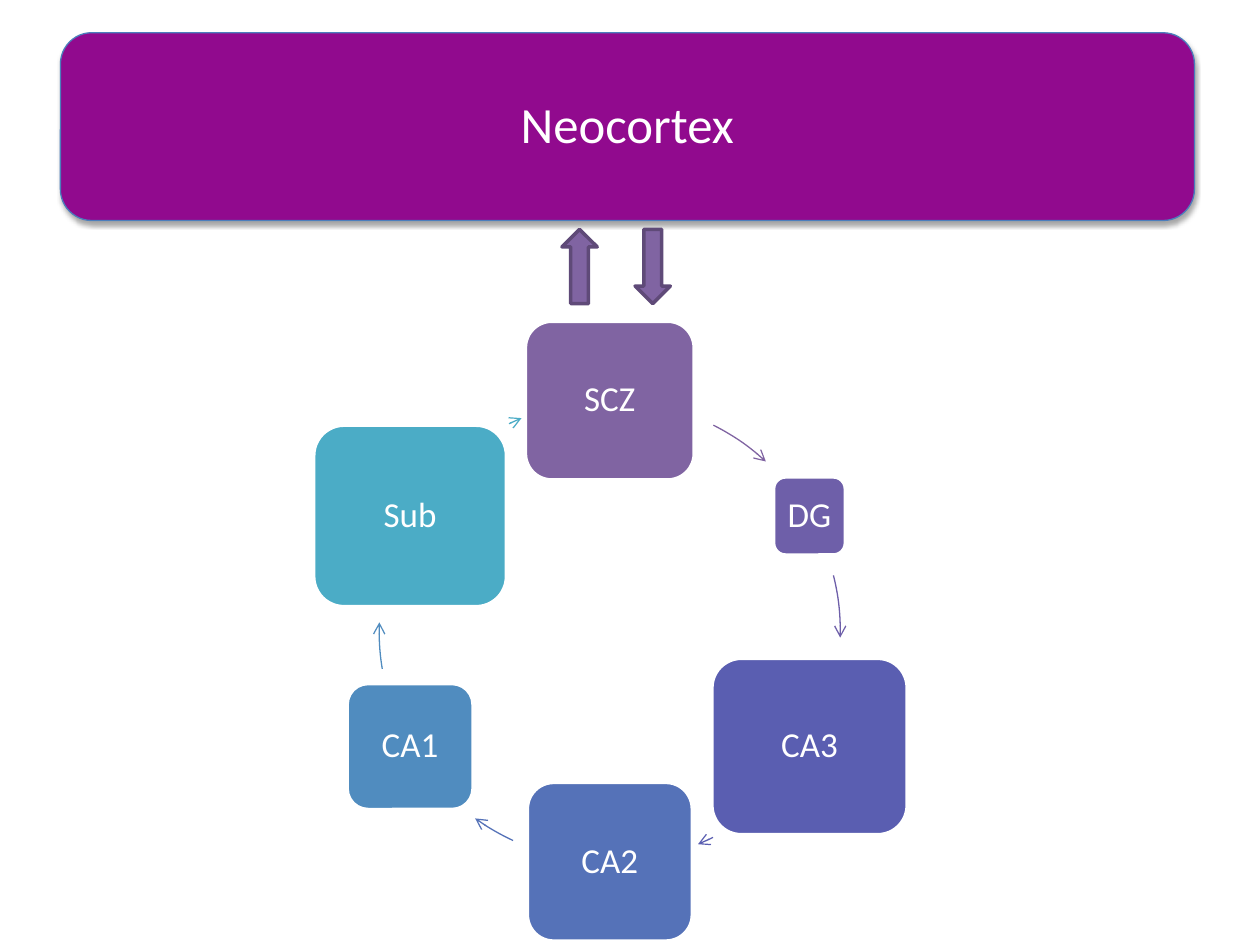
import math

from lxml import etree
from pptx import Presentation
from pptx.dml.color import RGBColor
from pptx.enum import shapes, text
from pptx.oxml import ns
from pptx.util import Inches, Pt

SHAPE = shapes.MSO_SHAPE
# name, width, height, colour, start and end angle of the arrow to the next area
AREAS = [
    ("SCZ", 1.34, 1.26, "8064A2", -63.3, -47.4),
    ("DG", 0.57, 0.62, "6E5FA9", -14, 1.6),
    ("CA3", 1.55, 1.4, "5A5EB1", 63.4, 67.5),
    ("CA2", 1.31, 1.26, "5572B8", 114.8, 125.7),
    ("CA1", 1, 1, "508CBF", 170.6, 182.2),
    ("Sub", 1.53, 1.44, "4BACC6", 244.1, 247.5),
]


def colour(value):
    return RGBColor.from_string(value)


def add_figure(parent, kind, box, fill, line, width):
    """Add a preset shape; a fill of None leaves it open."""
    figure = parent.add_shape(kind, *(Inches(length) for length in box))
    figure.shadow.inherit = False
    if fill:
        figure.fill.solid()
        figure.fill.fore_color.rgb = colour(fill)
    else:
        figure.fill.background()
    figure.line.color.rgb = colour(line)
    figure.line.width = Pt(width)
    return figure


def add_label(figure, words, size, inset):
    frame = figure.text_frame
    settings = {"word_wrap": False, "vertical_anchor": text.MSO_ANCHOR.MIDDLE}
    for side in ("left", "right", "top", "bottom"):
        settings["margin_" + side] = Inches(inset)
    for name, value in settings.items():
        setattr(frame, name, value)
    para = frame.paragraphs[0]
    para.alignment = text.PP_ALIGN.CENTER
    para.line_spacing = 0.9
    span = para.add_run()
    span.text = words
    for name, value in {"name": "Calibri", "size": Pt(size)}.items():
        setattr(span.font, name, value)
    span.font.color.rgb = colour("FFFFFF")


def add_soft_shadow(figure):
    effects = figure._element.spPr.find(ns.qn("a:effectLst"))
    shadow = etree.SubElement(
        effects, ns.qn("a:outerShdw"), blurRad=str(Pt(3.1)), dist=str(Pt(1.8)),
        dir="5400000", rotWithShape="0")
    tint = etree.SubElement(shadow, ns.qn("a:srgbClr"), val="000000")
    etree.SubElement(tint, ns.qn("a:alpha"), val="35000")


def add_cortex(page, box):
    cortex = add_figure(page.shapes, SHAPE.ROUNDED_RECTANGLE, box, "910A8E", "4B7EBC", 0.75)
    add_soft_shadow(cortex)
    add_label(cortex, "Neocortex", 29, 0.1)


def add_exchange(page, box):
    """Place an up arrow and a down arrow at the two ends of the box."""
    left, top, width, height = box
    arrow_width = 0.28
    for start, turn in ((left, 0), (left + width - arrow_width, 180)):
        arrow = add_figure(page.shapes, SHAPE.UP_ARROW, (start, top, arrow_width, height),
                           "8064A2", "5F4A78", 2)
        arrow.rotation = turn


def add_cycle(page, box):
    """Space the areas evenly on the circle in the box, clockwise from the top."""
    left, top, size, _ = box
    radius = size / 2
    group = page.shapes.add_group_shape().shapes
    for index, (name, width, height, fill, start, end) in enumerate(AREAS):
        angle = math.radians(360 / len(AREAS) * index - 90)
        x = left + radius * (1 + math.cos(angle)) - width / 2
        y = top + radius * (1 + math.sin(angle)) - height / 2
        area = add_figure(group, SHAPE.ROUNDED_RECTANGLE, (x, y, width, height),
                          fill, "FFFFFF", 2)
        add_label(area, name, 20, 0.08)
        arc = add_figure(group, SHAPE.ARC, box, None, fill, 0.75)
        for position, degrees in enumerate((start, end)):
            # Angles are stored in 1/60000 degree, adjustments in 1/100000
            arc.adjustments[position] = degrees % 360 * 0.6
        etree.SubElement(arc.line._get_or_add_ln(), ns.qn("a:tailEnd"), type="arrow")


def main():
    deck = Presentation()
    deck.slide_width, deck.slide_height = Inches(10), Inches(7.5)
    page = deck.slides.add_slide(deck.slide_layouts[6])
    add_cycle(page, (3.01, 3.18, 3.66, 3.66))
    add_cortex(page, (0.48, 0.26, 9, 1.49))
    add_exchange(page, (4.46, 1.82, 0.86, 0.59))
    deck.save("out.pptx")


if __name__ == "__main__":
    main()
